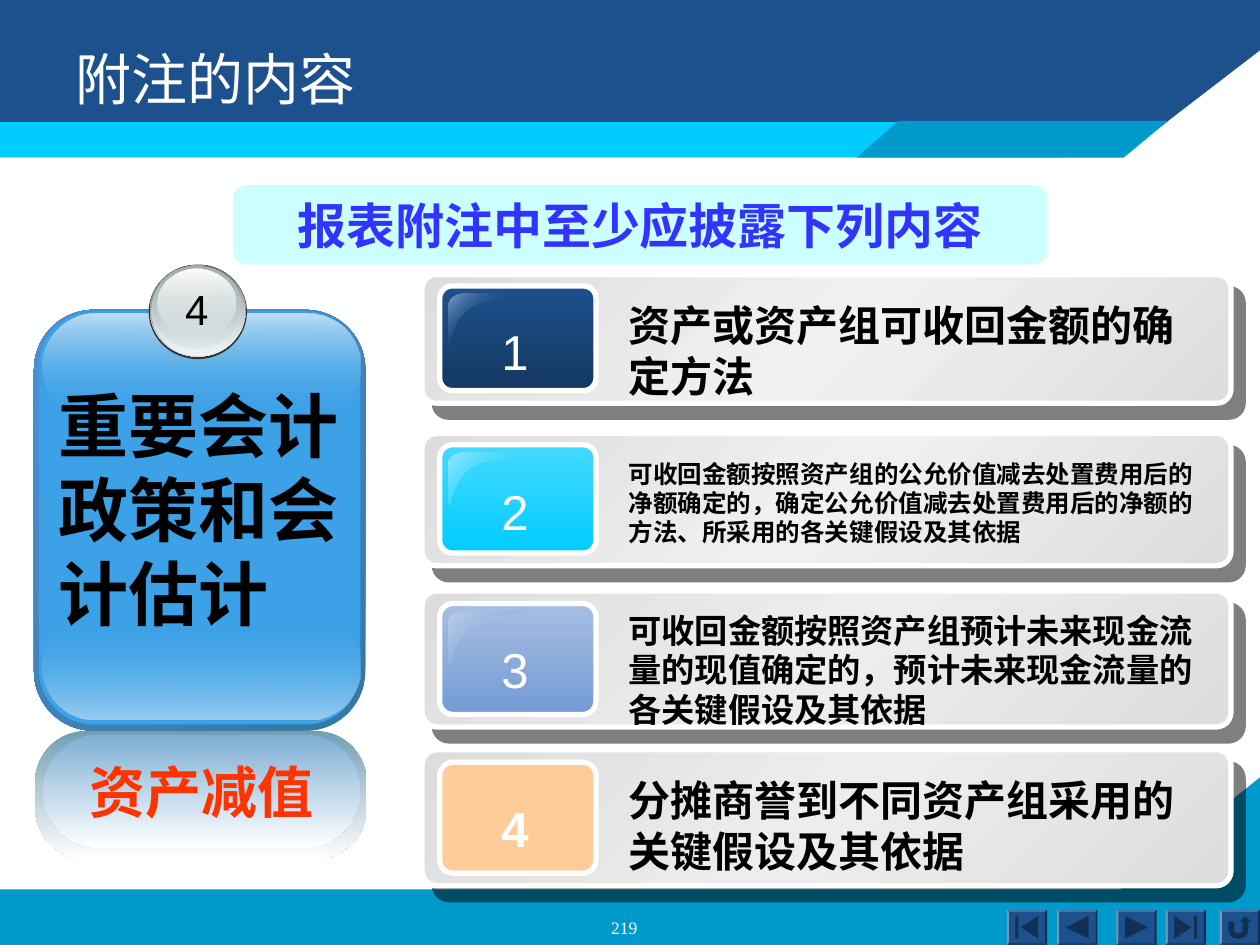
from dataclasses import dataclass

from lxml.etree import SubElement as Sub
from pptx import Presentation
from pptx.dml.color import RGBColor as Rgb
from pptx.enum.shapes import MSO_SHAPE as Kind
from pptx.enum.text import MSO_ANCHOR as Anchor, PP_ALIGN as Align
from pptx.oxml.ns import qn
from pptx.util import Pt

PX = 9144


@dataclass(frozen=True)
class Theme:
    """Hold the colours, fonts and type sizes of the slide."""
    navy: str = "1D518D"
    teal: str = "0099CB"
    cyan: str = "00CCFF"
    white: str = "FFFFFF"
    black: str = "000000"
    mint: str = "CCFFFF"
    indigo: str = "3333FF"
    red: str = "FF3300"
    sky: str = "3CA1E6"
    steel: str = "D6E1E2"
    dark: str = "333333"
    peach: str = "FFCC99"
    edge: str = "DDDDDD"
    sans: str = "Arial"
    serif: str = "Times New Roman"
    deja: str = "DejaVu Sans"
    han: str = "Noto Sans CJK SC"
    huge: int = 40
    title: int = 32
    head: int = 28
    body: int = 24
    mid: int = 19
    small: int = 14
    tiny: int = 10


T = Theme()


def fade(*stops, ang=90):
    """Describe a linear gradient by its stops and angle."""
    return stops, ang


def tint(node, tone, alpha=100):
    """Add a colour with opacity to an XML node."""
    clr = Sub(node, qn("a:srgbClr"), val=tone)
    if alpha < 100:
        Sub(clr, qn("a:alpha"), val=str(alpha * 1000))


def paint(shape, fill, line=None):
    """Give a shape its solid or gradient fill and its outline."""
    shape.shadow.inherit = False
    if line:
        shape.line.color.rgb = Rgb.from_string(line)
        shape.line.width = Pt(3)
    else:
        shape.line.fill.background()
    if isinstance(fill, str):
        shape.fill.solid()
        shape.fill.fore_color.rgb = Rgb.from_string(fill)
        return shape
    stops, ang = fill
    shape.fill.background()
    props = shape._element.spPr
    grad = Sub(props, qn("a:gradFill"), rotWithShape="1")
    props.replace(props.find(qn("a:noFill")), grad)
    row = Sub(grad, qn("a:gsLst"))
    for pos, *tone in stops:
        tint(Sub(row, qn("a:gs"), pos=str(pos * 1000)), *tone)
    Sub(grad, qn("a:lin"), ang=str(ang * 60000), scaled="0")
    return shape


def block(page, kind, box, fill, line=None, adj=None):
    """Add a preset shape."""
    shape = page.add_shape(kind, *(v * PX for v in box))
    if adj is not None:
        shape.adjustments[0] = adj
    return paint(shape, fill, line)


def plate(page, pts, fill):
    """Add a closed outline through the points."""
    pts = [(x * PX, y * PX) for x, y in pts]
    pen = page.build_freeform(*pts[0])
    pen.add_line_segments(pts[1:], close=True)
    return paint(pen.convert_to_shape(), fill)


def bend(*ctrl, steps=12):
    """Return points along a cubic curve."""
    return [tuple(sum(w * c[k] for w, c in zip(
        ((1 - t) ** 3, 3 * t * (1 - t) ** 2, 3 * t * t * (1 - t), t ** 3), ctrl))
        for k in (0, 1)) for t in (n / steps for n in range(steps + 1))]


def write(shape, text, size, tone, font=T.sans, bold=False, align=Align.LEFT,
          wrap=True, mid=False, top=5):
    """Put one run of text into a shape."""
    frame = shape.text_frame
    frame.word_wrap = wrap
    frame.vertical_anchor = Anchor.MIDDLE if mid else Anchor.TOP
    frame.margin_left = frame.margin_right = 10 * PX
    frame.margin_top, frame.margin_bottom = top * PX, 5 * PX
    para = frame.paragraphs[0]
    para.alignment = align
    para.line_spacing = Pt(size * 1.2)
    run = para.add_run()
    run.text = text
    run.font.size, run.font.bold, run.font.name = Pt(size), bold, font
    run.font.color.rgb = Rgb.from_string(tone)
    Sub(run._r.get_or_add_rPr(), qn("a:ea"), typeface=T.han)


def label(page, box, *args, **opts):
    """Add a text box."""
    write(page.add_textbox(*(v * PX for v in box)), *args, **opts)


def frame(page):
    """Draw the header and footer bands."""
    plate(page, [(0, 706), (889, 706), (1000, 617), (1000, 750), (0, 750)], T.teal)
    plate(page, [(0, 0), (1000, 0), (1000, 40), (892, 123), (0, 124)], T.navy)
    block(page, Kind.RECTANGLE, (0, 97, 844, 28), T.cyan)
    plate(page, [(680, 125), (892, 125), (927, 96), (713, 96)], T.teal)


def button(page, kind, x):
    """Draw a bevelled navigation button."""
    block(page, Kind.BEVEL, (x, 722, 32, 28), T.navy, adj=0.06)
    block(page, kind, (x + 2, 724, 28, 24), T.navy)


def card(page, num, y, high, glow, fill, shine, text, size, top=5):
    """Draw one numbered card with its text."""
    grey = fade((0, T.edge), (50, glow), (100, T.edge), ang=225)
    base = block(page, Kind.ROUNDED_RECTANGLE, (335, y, 642, high), grey, T.white, 0.109)
    drop = Sub(base._element.spPr.find(qn("a:effectLst")), qn("a:outerShdw"),
               dist=str(Pt(10.6)), dir=str(49 * 60000), algn="ctr", rotWithShape="0")
    tint(drop, T.black, 50)
    band = high * 82 // 100
    head = y + (high - band) // 2
    block(page, Kind.ROUNDED_RECTANGLE, (349, head, 124, band), fill, T.white, 0.119)
    if shine:
        arc = (bend((12, 0), (6, 0), (0, 4), (0, 9))
               + bend((0, 41), (3, 42), (2, 22), (17, 12))
               + bend((17, 12), (32, 3), (62, 2), (61, 0)))
        plate(page, [(356 + a, head + 6 + b) for a, b in arc], shine)
    label(page, (388, y + high * 32 // 100, 41, 57), str(num), T.head, T.white,
          bold=not shine, align=Align.CENTER, wrap=False)
    label(page, (489, y + 15, 472, 90), text, size, T.black, bold=True, top=top)


def panel(page):
    """Draw the glossy topic panel with its badge."""
    trim = Kind.ROUNDED_RECTANGLE
    for box, fill, adj in (
            ((27, 246, 263, 334), fade((0, "3477A4"), (100, "4E91D4"), ang=225), 0.18),
            ((31, 247, 255, 328), T.sky, 0.17),
            ((34, 488, 252, 83), fade((0, T.sky, 0), (100, "9ACDF1")), 0.5),
            ((34, 249, 252, 83), fade((0, "BDDEF5"), (100, T.sky, 0)), 0.5),
            ((28, 580, 263, 102), fade((0, "729EB4"), (100, T.white)), 0.4)):
        block(page, trim, box, fill, adj=adj)
    foot = block(page, trim, (34, 583, 252, 90),
                 fade((0, "7DAFD4"), (100, T.white)), adj=0.5)
    write(foot, "资产减值", T.title, T.red, bold=True, align=Align.CENTER,
          wrap=False, mid=True)
    for box, fill in (
            ((118, 210, 78, 75), T.dark),
            ((119, 210, 76, 73), fade((0, "626768"), (100, T.steel))),
            ((120, 211, 74, 71), fade((0, T.steel, 0), (100, "EFF3F3"))),
            ((121, 211, 70, 66), fade((0, "A8B1B2"), (100, T.steel, 48))),
            ((125, 213, 62, 54), fade((0, "FEFEFE"), (100, T.steel, 38)))):
        block(page, Kind.OVAL, box, fill)
    label(page, (137, 220, 38, 50), "4", T.body, T.black, align=Align.CENTER, wrap=False)
    label(page, (37, 299, 250, 210), "重要会计政策和会计估计", T.huge, T.black,
          font=T.deja, bold=True)


def main():
    """Build the slide and save it."""
    deck = Presentation()
    deck.slide_width, deck.slide_height = 1000 * PX, 750 * PX
    page = deck.slides.add_slide(deck.slide_layouts[6]).shapes
    frame(page)
    for kind, x in ((Kind.ACTION_BUTTON_BEGINNING, 799),
                    (Kind.ACTION_BUTTON_BACK_OR_PREVIOUS, 839),
                    (Kind.ACTION_BUTTON_FORWARD_OR_NEXT, 886),
                    (Kind.ACTION_BUTTON_END, 925),
                    (Kind.ACTION_BUTTON_RETURN, 968)):
        button(page, kind, x)
    label(page, (50, 30, 900, 125), "附注的内容", T.title, T.white, font=T.han)
    head = block(page, Kind.ROUNDED_RECTANGLE, (185, 147, 646, 63), T.mint, adj=0.167)
    write(head, "报表附注中至少应披露下列内容", T.head, T.indigo, bold=True,
          align=Align.CENTER, wrap=False, mid=True)
    panel(page)
    cards = (
        (218, 102, "F1F1F1", fade((0, T.navy), (100, "143862")),
         fade((0, "839FC0"), (50, T.navy, 0), (100, "839FC0"), ang=225),
         "资产或资产组可收回金额的确定方法", T.body),
        (344, 105, "F0F0F0", fade((0, "45D9FE"), (100, T.cyan)),
         fade((0, T.cyan, 0), (100, "92E8FE"), ang=225),
         "可收回金额按照资产组的公允价值减去处置费用后的净额确定的，"
         "确定公允价值减去处置费用后的净额的方法、所采用的各关键假设及其依据", T.small),
        (469, 108, "EDEDED", fade((0, "A6BEE2"), (100, "749BD4")),
         fade((0, "749BD4", 0), (100, "BACDE9"), ang=225),
         "可收回金额按照资产组预计未来现金流量的现值确定的，"
         "预计未来现金流量的各关键假设及其依据", T.mid, 0),
        (595, 108, "EDEDED", T.peach, None,
         "分摊商誉到不同资产组采用的关键假设及其依据", T.body))
    for num, row in enumerate(cards, 1):
        card(page, num, *row)
    label(page, (379, 723, 233, 18), "219", T.tiny, T.white, font=T.serif,
          align=Align.CENTER)
    deck.save("out.pptx")


if __name__ == "__main__":
    main()
